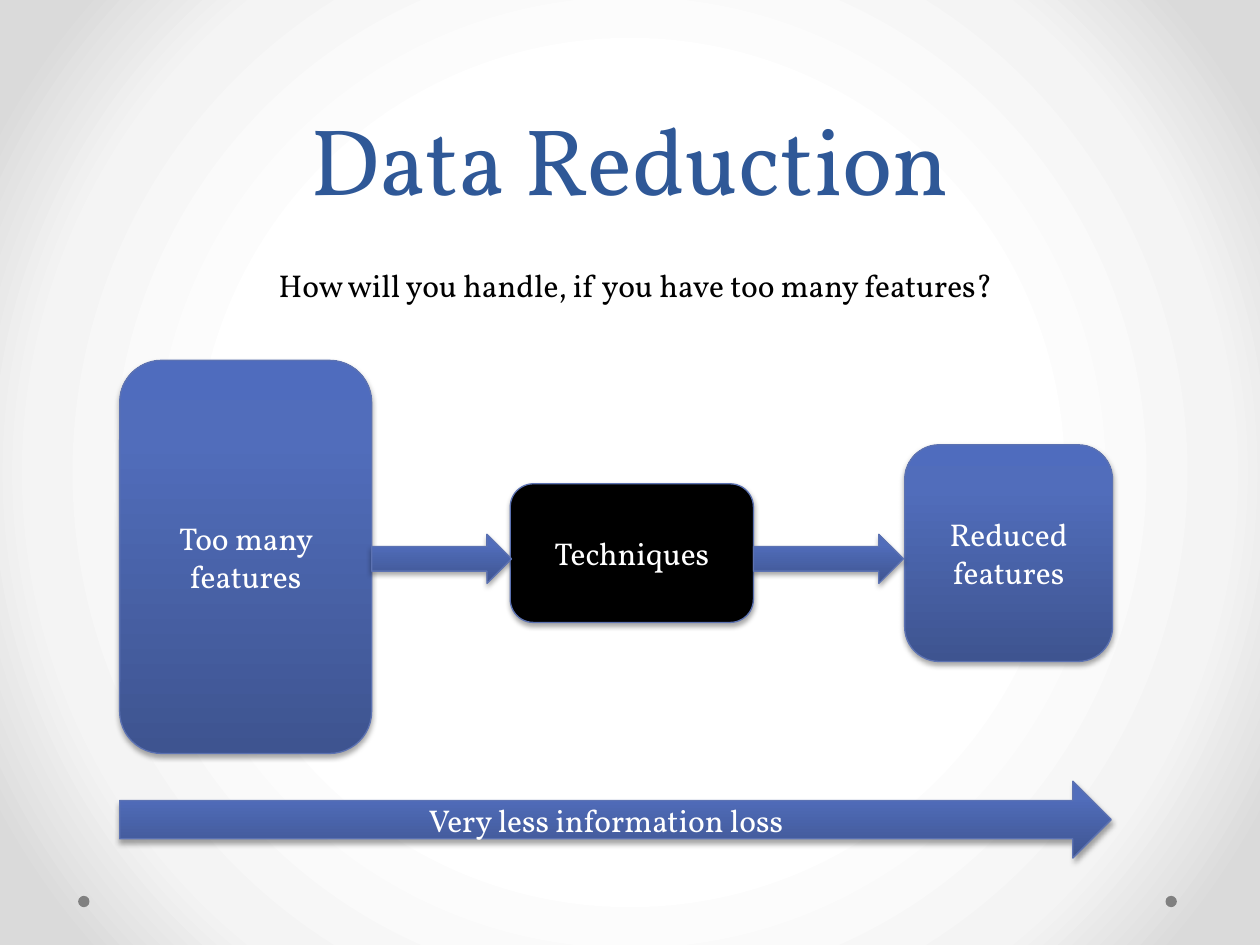
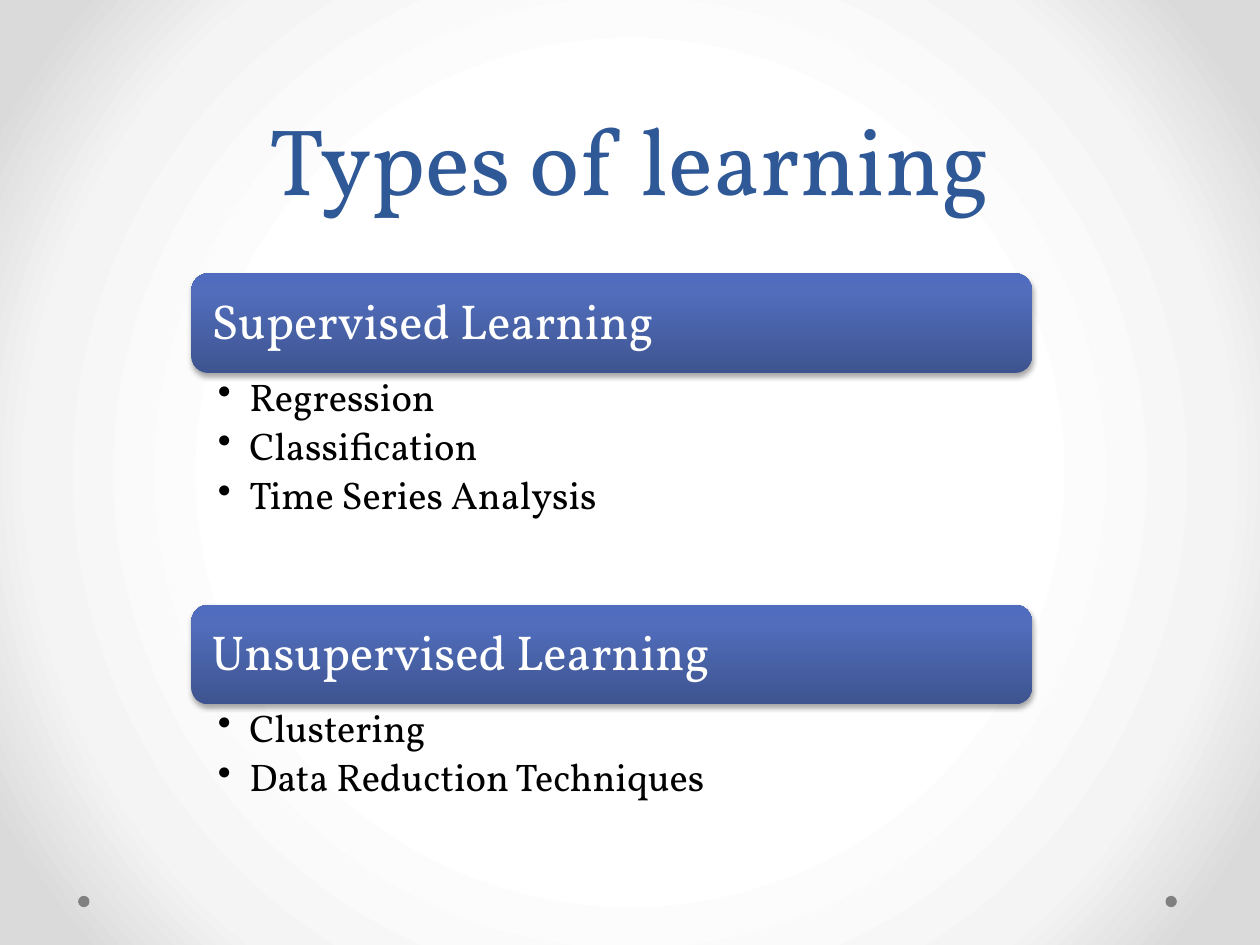
from dataclasses import dataclass
from typing import Any

from pptx import Presentation, oxml
from pptx import util as u
from pptx.dml.color import RGBColor
from pptx.enum import shapes, text
from pptx.oxml import ns

FONT = "Vollkorn"
TITLE_BLUE = RGBColor(0x2F, 0x58, 0x97)
EDGE_BLUE = RGBColor(0x5C, 0x72, 0xB2)
DOT_GRAY = RGBColor(0x80, 0x80, 0x80)
BLACK = RGBColor(0, 0, 0)
WHITE = RGBColor(0xFF, 0xFF, 0xFF)
BLUE_STOPS = (
    (0, RGBColor(0x3E, 0x54, 0x90)),
    (80, RGBColor(0x51, 0x6D, 0xBB)),
    (100, RGBColor(0x4F, 0x6C, 0xBE)),
)
BACKGROUND_STOPS = (
    (50, WHITE),
    (76, RGBColor(0xF4, 0xF4, 0xF4)),
    (92, RGBColor(0xDA, 0xDA, 0xDA)),
)
UPWARD = '<a:lin ang="16200000" scaled="0"/>'
RADIAL = '<a:path path="circle"><a:fillToRect l="50000" t="50000" r="50000" b="50000"/></a:path>'

ROUND = shapes.MSO_SHAPE.ROUNDED_RECTANGLE
ARROW = shapes.MSO_SHAPE.RIGHT_ARROW
CENTER = text.PP_ALIGN.CENTER
LEFT = text.PP_ALIGN.LEFT
MIDDLE = text.MSO_ANCHOR.MIDDLE
TOP = text.MSO_ANCHOR.TOP


@dataclass
class Block:
    kind: Any
    left: float
    top: float
    width: float
    height: float
    label: str = ""
    solid: RGBColor | None = None


@dataclass
class Section:
    top: float
    heading: str
    items: tuple[str, ...]
    list_height: float


BLOCKS = (
    Block(ROUND, 4.05, 3.84, 1.93, 1.1, "Techniques", BLACK),
    Block(ROUND, 0.95, 2.86, 2, 3.12, "Too many features"),
    Block(ROUND, 7.18, 3.53, 1.65, 1.72, "Reduced features"),
    Block(ARROW, 2.95, 4.24, 1.11, 0.39),
    Block(ARROW, 5.98, 4.24, 1.19, 0.39),
    Block(ARROW, 0.95, 6.2, 7.87, 0.61, "Very less information loss"),
)
SECTIONS = (
    Section(2.17, "Supervised Learning",
            ("Regression", "Classification", "Time Series Analysis"), 1.84),
    Section(4.8, "Unsupervised Learning",
            ("Clustering", "Data Reduction Techniques"), 0.9),
)
SECTION_LEFT, SECTION_WIDTH, HEADING_HEIGHT = 1.52, 6.67, 0.79


def apply(target: Any, **values: Any) -> None:
    for name, value in values.items():
        setattr(target, name, value)


def box(left: float, top: float, width: float, height: float) -> list[u.Length]:
    return [u.Inches(v) for v in (left, top, width, height)]


def gradient_xml(stops: tuple, direction: str) -> str:
    gs = "".join(f'<a:gs pos="{pos * 1000}"><a:srgbClr val="{color}"/></a:gs>'
                 for pos, color in stops)
    return (f'<a:gradFill rotWithShape="1" {ns.nsdecls("a")}>'
            f'<a:gsLst>{gs}</a:gsLst>{direction}</a:gradFill>')


def set_background(prs: Any) -> None:
    c_sld = prs.slide_master.element.find(ns.qn("p:cSld"))
    for bg in c_sld.findall(ns.qn("p:bg")):
        c_sld.remove(bg)
    c_sld.insert(0, oxml.parse_xml(
        f'<p:bg {ns.nsdecls("p", "a")}><p:bgPr>'
        f'{gradient_xml(BACKGROUND_STOPS, RADIAL)}<a:effectLst/></p:bgPr></p:bg>'))


def write(sp: Any, lines: tuple[str, ...], size: float, color: RGBColor,
          align: Any = CENTER, anchor: Any = MIDDLE,
          insets: tuple[float, ...] = (0.1, 0.05, 0.1, 0.05), **spacing: Any) -> None:
    tf = sp.text_frame
    sides = ("margin_left", "margin_top", "margin_right", "margin_bottom")
    apply(tf, word_wrap=True, auto_size=text.MSO_AUTO_SIZE.NONE, vertical_anchor=anchor,
          **{side: u.Inches(v) for side, v in zip(sides, insets)})
    for i, line in enumerate(lines):
        p = tf.add_paragraph() if i else tf.paragraphs[0]
        apply(p, alignment=align, **spacing)
        r = p.add_run()
        r.text = line
        apply(r.font, name=FONT, size=u.Pt(size))
        r.font.color.rgb = color


def add_bullets(sp: Any) -> None:
    for p in sp.text_frame.paragraphs:
        p_pr = p._p.get_or_add_pPr()
        p_pr.set("marL", str(u.Inches(0.25)))
        p_pr.set("indent", str(-u.Inches(0.25)))
        p_pr.append(oxml.parse_xml(f'<a:buChar {ns.nsdecls("a")} char="•"/>'))


def add_block(s: Any, block: Block, outlined: bool = True) -> Any:
    sp = s.shapes.add_shape(block.kind, *box(block.left, block.top, block.width, block.height))
    if block.solid is not None:
        sp.fill.solid()
        sp.fill.fore_color.rgb = block.solid
    else:
        sp.fill.gradient()
        sp_pr = sp._element.spPr
        sp_pr.replace(sp_pr.find(ns.qn("a:gradFill")),
                      oxml.parse_xml(gradient_xml(BLUE_STOPS, UPWARD)))
    if outlined:
        sp.line.color.rgb = EDGE_BLUE
        sp.line.width = u.Pt(0.75)
    else:
        sp.line.fill.background()
    sp.shadow.inherit = False
    sp._element.spPr.find(ns.qn("a:effectLst")).append(oxml.parse_xml(
        f'<a:outerShdw {ns.nsdecls("a")} blurRad="{u.Pt(3.1)}" dist="{u.Pt(1.8)}" '
        'dir="5400000" rotWithShape="0"><a:srgbClr val="000000">'
        '<a:alpha val="35000"/></a:srgbClr></a:outerShdw>'))
    if block.label and outlined:
        write(sp, (block.label,), 18, WHITE)
    return sp


def add_section(s: Any, section: Section) -> None:
    sp = add_block(s, Block(ROUND, SECTION_LEFT, section.top, SECTION_WIDTH, HEADING_HEIGHT),
                   outlined=False)
    write(sp, (section.heading,), 28, WHITE, LEFT, insets=(0.12,) * 4,
          line_spacing=0.9, space_after=u.Pt(9.8))
    sp = s.shapes.add_textbox(*box(SECTION_LEFT, section.top + HEADING_HEIGHT,
                                   SECTION_WIDTH, section.list_height))
    write(sp, section.items, 22, BLACK, LEFT, TOP, (0.21, 0.04, 0.22, 0.04),
          line_spacing=0.9, space_after=u.Pt(4.4))
    add_bullets(sp)


def add_slide(prs: Any, title: str) -> Any:
    s = prs.slides.add_slide(prs.slide_layouts.get_by_name("Title Only"))
    for left in (9.25, 0.62):
        dot = s.shapes.add_shape(shapes.MSO_SHAPE.OVAL, *box(left, 7.11, 0.09, 0.09))
        dot.fill.solid()
        dot.fill.fore_color.rgb = DOT_GRAY
        dot.line.fill.background()
        dot.shadow.inherit = False
    sp = s.shapes.title
    apply(sp, **dict(zip(("left", "top", "width", "height"), box(0.5, 0, 9, 1.75))))
    write(sp, (title,), 54, TITLE_BLUE, anchor=text.MSO_ANCHOR.BOTTOM,
          line_spacing=u.Pt(58))
    return s


def main() -> None:
    prs = Presentation()
    apply(prs, slide_width=u.Inches(10), slide_height=u.Inches(7.5))
    set_background(prs)

    s = add_slide(prs, "Data Reduction")
    for block in BLOCKS:
        add_block(s, block)
    question = s.shapes.add_textbox(*box(0.59, 2.06, 8.91, 0.4))
    write(question, ("How will you handle, if you have too many features?",), 18, BLACK,
          anchor=TOP)

    s = add_slide(prs, "Types of learning")
    for section in SECTIONS:
        add_section(s, section)

    prs.save("out.pptx")


if __name__ == "__main__":
    main()
